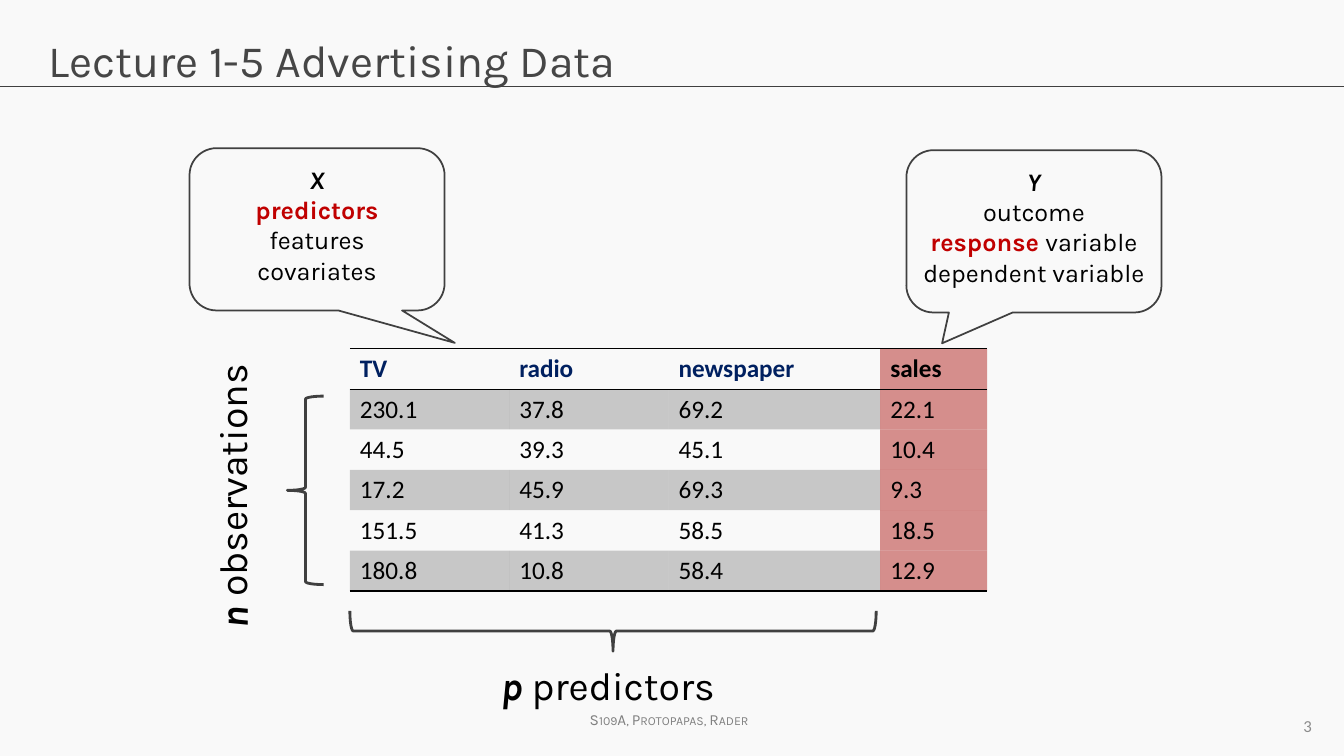
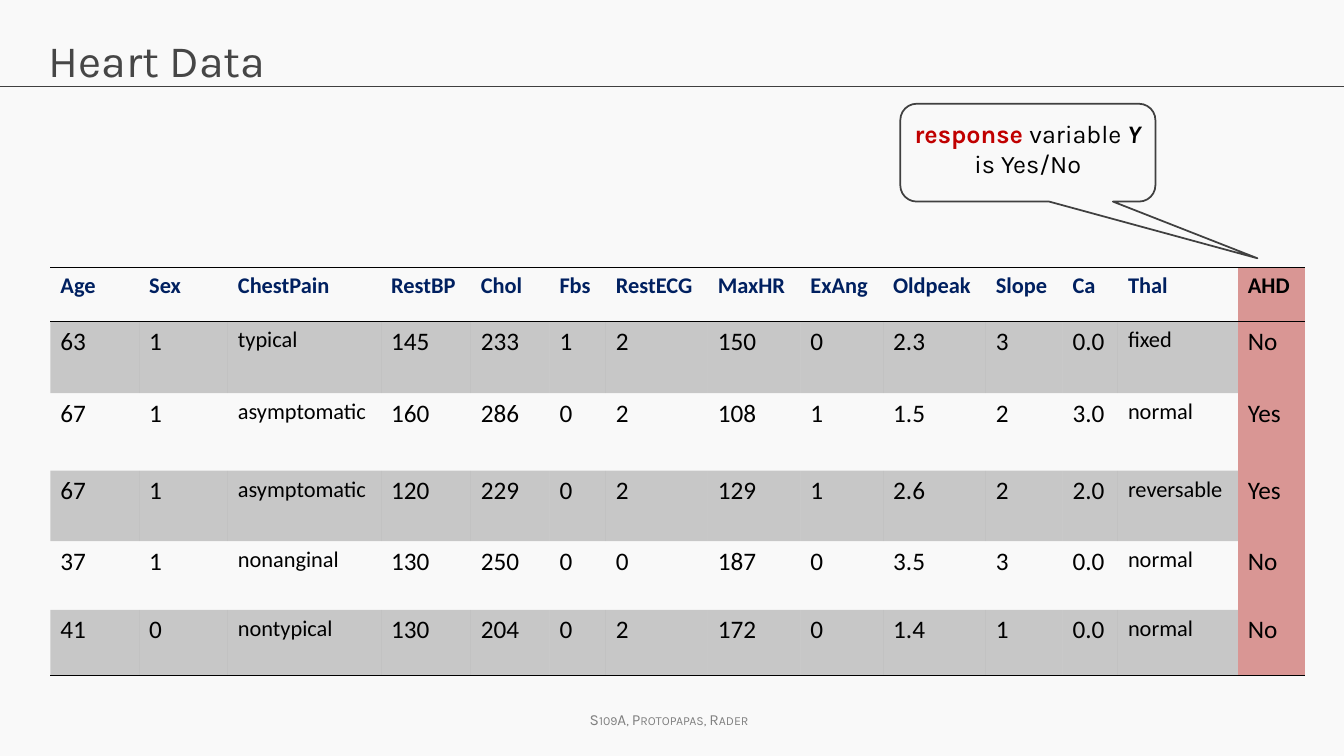
from dataclasses import dataclass

from lxml.etree import SubElement
from pptx import Presentation
from pptx.dml.color import RGBColor
from pptx.enum.shapes import MSO_CONNECTOR, MSO_SHAPE
from pptx.enum.text import MSO_ANCHOR, MSO_AUTO_SIZE, PP_ALIGN
from pptx.oxml.ns import qn
from pptx.util import Inches, Pt


@dataclass(frozen=True)
class Theme:
    """Colours, fonts and type sizes of the deck."""
    paper: str = "F9F9F9"
    ink: str = "000000"
    line: str = "404040"
    title: str = "464646"
    footer: str = "808080"
    number: str = "8C8C8C"
    header: str = "002060"
    accent: str = "C00000"
    head_font: str = "Karla"
    data_font: str = "Calibri"
    title_size: int = 32
    label_size: int = 28
    body_size: int = 18
    small_size: int = 16
    number_size: int = 12
    footer_size: int = 11


T = Theme()
BAND = (T.ink, 20)
KEY = dict(bold=True, color=T.accent)
SYMBOL = dict(bold=True, italic=True)
NO_STYLE = "{2D5ABB26-0587-4C30-8999-92F81FD0307C}"

AD_ROWS = [
    "TV radio newspaper sales",
    "230.1 37.8 69.2 22.1",
    "44.5 39.3 45.1 10.4",
    "17.2 45.9 69.3 9.3",
    "151.5 41.3 58.5 18.5",
    "180.8 10.8 58.4 12.9",
]
HEART_ROWS = [
    "Age Sex ChestPain RestBP Chol Fbs RestECG MaxHR ExAng Oldpeak Slope Ca Thal AHD",
    "63 1 typical 145 233 1 2 150 0 2.3 3 0.0 fixed No",
    "67 1 asymptomatic 160 286 0 2 108 1 1.5 2 3.0 normal Yes",
    "67 1 asymptomatic 120 229 0 2 129 1 2.6 2 2.0 reversable Yes",
    "37 1 nonanginal 130 250 0 0 187 0 3.5 3 0.0 normal No",
    "41 0 nontypical 130 204 0 2 172 0 1.4 1 0.0 normal No",
]
HEART_COLS = [0.88, 0.88, 1.52, 0.89, 0.78, 0.56, 1.01, 0.92, 0.82, 1.02, 0.76, 0.55, 1.19, 0.67]


def box(x, y, w, h):
    """Turn a box in inches into lengths."""
    return [Inches(v) for v in (x, y, w, h)]


def write(tf, paras, align=PP_ALIGN.LEFT, **base):
    """Fill a text frame with paragraphs of (text, format) runs."""
    for i, runs in enumerate(paras):
        p = tf.paragraphs[0] if i == 0 else tf.add_paragraph()
        p.alignment = align
        for text, own in runs:
            fmt = dict(font=T.head_font, size=T.body_size, color=T.ink) | base | own
            r = p.add_run()
            r.text = text
            r.font.name = fmt["font"]
            r.font.size = Pt(fmt["size"])
            r.font.bold = fmt.get("bold", False)
            r.font.italic = fmt.get("italic", False)
            r.font.color.rgb = RGBColor.from_string(fmt["color"])
            if fmt.get("small_caps"):
                r.font._element.set("cap", "small")


def add_label(s, at, runs, rotation=0, **fmt):
    """Add a one-line text box that fits its text."""
    sp = s.shapes.add_textbox(*box(*at))
    sp.rotation = rotation
    sp.text_frame.word_wrap = False
    sp.text_frame.auto_size = MSO_AUTO_SIZE.SHAPE_TO_FIT_TEXT
    write(sp.text_frame, [runs], **fmt)


def add_outline(s, kind, at, weight):
    """Add an unfilled preset shape with a dark outline."""
    sp = s.shapes.add_shape(kind, *box(*at))
    sp.shadow.inherit = False
    sp.fill.background()
    sp.line.color.rgb = RGBColor.from_string(T.line)
    sp.line.width = Pt(weight)
    return sp


def add_callout(s, at, tail, paras):
    """Add a rounded speech callout with centred text."""
    sp = add_outline(s, MSO_SHAPE.ROUNDED_RECTANGULAR_CALLOUT, at, 1.25)
    sp.adjustments[0], sp.adjustments[1] = tail
    tf = sp.text_frame
    tf.word_wrap = False
    tf.vertical_anchor = MSO_ANCHOR.MIDDLE
    tf.margin_bottom = Inches(0.14)
    write(tf, paras, align=PP_ALIGN.CENTER)


def add_brace(s, at, rotation=0):
    """Add a curly brace."""
    add_outline(s, MSO_SHAPE.LEFT_BRACE, at, 2).rotation = rotation


def rule_cell(cell, sides):
    """Draw one-point rules on the named sides of a cell."""
    for side in sides:
        ln = SubElement(cell._tc.get_or_add_tcPr(), qn(f"a:ln{side}"), w=str(Pt(1)))
        fill = SubElement(ln, qn("a:solidFill"))
        SubElement(fill, qn("a:srgbClr"), val=T.ink)


def fill_cell(cell, paint):
    """Fill a cell with a (colour, opacity percent) pair, or leave it clear."""
    if paint is None:
        cell.fill.background()
        return
    color, opacity = paint
    cell.fill.solid()
    cell.fill.fore_color.rgb = RGBColor.from_string(color)
    if opacity < 100:
        clr = cell._tc.tcPr.find(qn("a:solidFill")).find(qn("a:srgbClr"))
        SubElement(clr, qn("a:alpha"), val=str(opacity * 1000))


def add_data(s, x, y, cols, heights, lines, response, header_size, word_cols=()):
    """Add a banded data table whose last column is the response."""
    rows = [line.split() for line in lines]
    frame = s.shapes.add_table(len(rows), len(cols), *box(x, y, sum(cols), sum(heights)))
    tbl = frame.table
    tbl.first_row = tbl.horz_banding = False
    tbl._tbl.tblPr.find(qn("a:tableStyleId")).text = NO_STYLE
    for col, w in zip(tbl.columns, cols):
        col.width = Inches(w)
    for row, h in zip(tbl.rows, heights):
        row.height = Inches(h)
    for i, values in enumerate(rows):
        for j, value in enumerate(values):
            cell, is_response = tbl.cell(i, j), j == len(cols) - 1
            size = T.small_size if j in word_cols else T.body_size
            color = T.header if i == 0 and not is_response else T.ink
            write(cell.text_frame, [[(value, {})]], font=T.data_font, color=color,
                  size=header_size if i == 0 else size, bold=i == 0)
            rule_cell(cell, "TB" if i == 0 else "B" if i == len(rows) - 1 else "")
            fill_cell(cell, response if is_response else BAND if i % 2 else None)


def add_frame(prs, title):
    """Add a slide with the shared title, rule and footer."""
    s = prs.slides.add_slide(prs.slide_layouts[5])
    rule = s.shapes.add_connector(MSO_CONNECTOR.STRAIGHT, 0, Inches(0.86),
                                  prs.slide_width, Inches(0.86))
    rule.line.color.rgb = RGBColor.from_string(T.line)
    rule.line.width = Pt(0.75)
    SubElement(rule._element.spPr, qn("a:effectLst"))
    add_label(s, (5.75, 7, 1.88, 0.29), [("S109A, Protopapas, Rader", {})],
              size=T.footer_size, color=T.footer, small_caps=True)
    sp = s.shapes.title
    sp.left, sp.top, sp.width, sp.height = box(0.38, 0.24, 12.57, 0.84)
    tf = sp.text_frame
    tf.vertical_anchor = MSO_ANCHOR.TOP
    tf.auto_size = MSO_AUTO_SIZE.NONE
    tf.margin_top = Inches(0.08)
    write(tf, [[(title, {})]], size=T.title_size, color=T.title)
    return s


def add_number(s, at, number):
    """Add the slide number at the right of its box."""
    tf = s.shapes.add_textbox(*box(*at)).text_frame
    tf.word_wrap = True
    tf.vertical_anchor = MSO_ANCHOR.MIDDLE
    write(tf, [[(number, {})]], align=PP_ALIGN.RIGHT, font=T.data_font,
          size=T.number_size, color=T.number)


def advertising_slide(prs):
    """Build the slide that names predictors, response and observations."""
    s = add_frame(prs, "Lecture 1-5 Advertising Data")
    add_data(s, 3.47, 3.46, [1.58, 1.58, 2.1, 1.06], [0.4] * 6, AD_ROWS,
             ("C0504D", 63), T.body_size)
    add_number(s, (10, 7, 3.11, 0.4), "3")
    add_callout(s, (8.99, 1.49, 2.53, 1.61), (-0.36, 0.69), [
        [("Y", SYMBOL)], [("outcome", {})],
        [("response ", KEY), ("variable", {})], [("dependent variable", {})]])
    add_callout(s, (1.88, 1.47, 2.53, 1.61), (0.54, 0.7), [
        [("X", SYMBOL)], [("predictors", KEY)], [("features", {})], [("covariates", {})]])
    add_brace(s, (5.88, 3.65, 0.4, 5.22), rotation=270)
    add_label(s, (4.87, 6.51, 2.36, 0.57), [("p", SYMBOL), (" predictors", {})],
              size=T.label_size)
    add_brace(s, (2.85, 3.93, 0.36, 1.87))
    add_label(s, (0.83, 4.57, 2.95, 0.57), [("n", SYMBOL), (" observations", {})],
              rotation=270, size=T.label_size)


def heart_slide(prs):
    """Build the slide with the yes/no response."""
    s = add_frame(prs, "Heart Data")
    add_data(s, 0.5, 2.65, HEART_COLS, [0.54, 0.71, 0.77, 0.7, 0.68, 0.65], HEART_ROWS,
             ("D99694", 100), T.small_size, word_cols=(2, 12))
    add_callout(s, (8.93, 1.03, 2.53, 0.97), (0.9, 1.08), [
        [("response ", KEY), ("variable ", {}), ("Y", SYMBOL)], [("is Yes/No", {})]])


def main():
    """Build and save the deck."""
    prs = Presentation()
    prs.slide_width, prs.slide_height = Inches(13.33), Inches(7.5)
    fill = prs.slide_master.background.fill
    fill.solid()
    fill.fore_color.rgb = RGBColor.from_string(T.paper)
    advertising_slide(prs)
    heart_slide(prs)
    prs.save("out.pptx")


if __name__ == "__main__":
    main()
